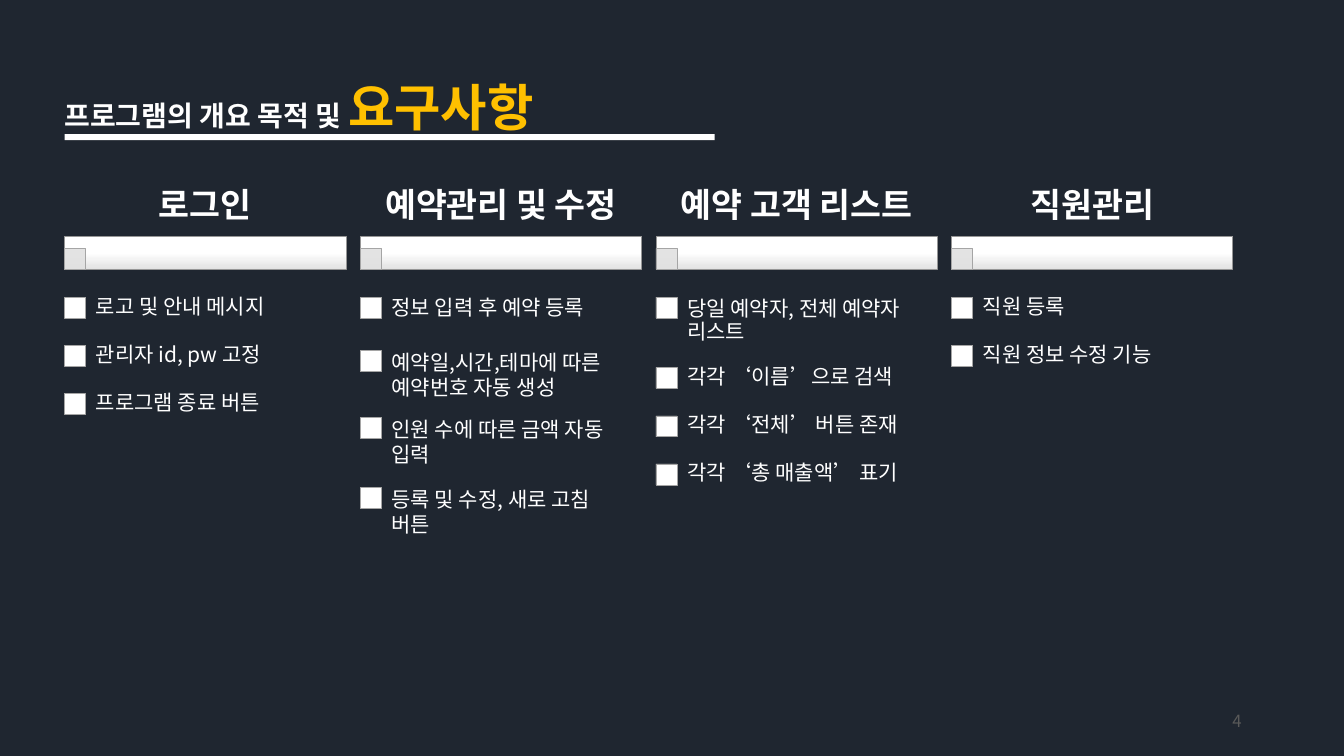
from copy import deepcopy
from lxml import etree
from pptx import Presentation
from pptx.util import Cm, Pt
from pptx.dml.color import RGBColor
from pptx.enum import shapes, text
from pptx.oxml.ns import qn

FACE = "Noto Sans CJK KR"
INK = {"back": "1F2630", "white": "FFFFFF", "gold": "FFC000", "page": "595959",
       "shade": "E3E3E3", "rim": "969696", "chip": "E1E1E1", "edge": "A5A5A5"}
RGB = {name: RGBColor.from_string(value) for name, value in INK.items()}
LEFT, WIDE, STEP, MARK = 1.63, 7.09, 7.45, 0.53

deck = Presentation()
deck.slide_width, deck.slide_height = Cm(33.87), Cm(19.05)
slide = deck.slides.add_slide(deck.slide_layouts[5])
slide.background.fill.solid()
slide.background.fill.fore_color.rgb = RGB["back"]


def block(x, y, w, h, fill, line=None):
    box = slide.shapes.add_shape(shapes.MSO_SHAPE.RECTANGLE, Cm(x), Cm(y), Cm(w), Cm(h))
    box.shadow.inherit = False
    box.fill.solid()
    box.fill.fore_color.rgb = RGB[fill]
    if line:
        box.line.color.rgb = RGB[line]
        box.line.width = Pt(0.5)
    else:
        box.line.fill.background()
    return box


def write(box, place, runs, frame, para, after=False):
    for name, value in zip(("left", "top", "width", "height"), place):
        setattr(box, name, Cm(value))
    for name, value in frame.items():
        setattr(box.text_frame, name, value)
    line = box.text_frame.paragraphs[0]
    for name, value in para.items():
        setattr(line, name, value)
    if after:
        gap = etree.SubElement(line._p.get_or_add_pPr(), qn("a:spcAft"))
        etree.SubElement(gap, qn("a:spcPct")).set("val", "35000")
    for words, size, ink, bold in runs:
        run = line.add_run()
        run.text = words
        for name, value in {"name": FACE, "size": Pt(size), "bold": bold}.items():
            setattr(run.font, name, value)
        run.font.color.rgb = RGB[ink]
        etree.SubElement(run._r.get_or_add_rPr(), qn("a:ea")).set("typeface", FACE)


MID = text.MSO_ANCHOR.MIDDLE
SIDES = ("margin_left", "margin_top", "margin_right", "margin_bottom")
HEAD = {"word_wrap": True, "vertical_anchor": MID,
        **dict(zip(SIDES, (Cm(0.13), Cm(0.08), Cm(0.13), Cm(0.08))))}
ITEM = {"word_wrap": True, "vertical_anchor": MID, **dict.fromkeys(SIDES, Cm(0.3))}

block(LEFT, 3.38, 16.38, 0.15, "white")
write(slide.shapes.title, (1.37, 1.78, 13.92, 1.8),
      [("프로그램의 개요 목적 및 ", 20, "white", True), ("요구사항", 36, "gold", True)],
      {"word_wrap": False, "vertical_anchor": text.MSO_ANCHOR.TOP,
       "auto_size": text.MSO_AUTO_SIZE.SHAPE_TO_FIT_TEXT},
      {"alignment": text.PP_ALIGN.LEFT})

columns = [
    ("로그인", 0.9, [
        (7.49, -0.35, "로고 및 안내 메시지"),
        (8.7, -0.35, "관리자 id, pw 고정"),
        (9.92, -0.35, "프로그램 종료 버튼")]),
    ("예약관리 및 수정", 1.0, [
        (7.49, -0.35, "정보 입력 후 예약 등록"),
        (8.84, 0, "예약일,시간,테마에 따른 예약번호 자동 생성"),
        (10.51, 0, "인원 수에 따른 금액 자동 입력"),
        (12.29, 0, "등록 및 수정, 새로 고침 버튼")]),
    ("예약 고객 리스트", 0.9, [
        (7.49, 0, "당일 예약자, 전체 예약자 리스트"),
        (9.26, -0.35, "각각 ‘이름’으로 검색"),
        (10.48, -0.35, "각각 ‘전체’ 버튼 존재"),
        (11.69, -0.35, "각각 ‘총 매출액’ 표기")]),
    ("직원관리", 0.9, [
        (7.49, -0.35, "직원 등록"),
        (8.7, -0.35, "직원 정보 수정 기능")]),
]

for i, (head, pitch, items) in enumerate(columns):
    x = LEFT + i * STEP
    bar = block(x, 5.95, WIDE, 0.83, "white", "rim")
    bar.fill.gradient()
    bar.fill.gradient_angle = 270
    for stop, ink in zip(bar.fill.gradient_stops, ("white", "shade")):
        stop.color.rgb = RGB[ink]
    first = bar._element.find(".//" + qn("a:gs"))
    half = deepcopy(first)
    half.set("pos", "50000")
    first.addnext(half)

    chip = block(x, 6.26, MARK, MARK, "chip", "edge")
    tint = chip._element.spPr.find(qn("a:solidFill"))[0]
    etree.SubElement(tint, qn("a:alpha")).set("val", "90000")

    write(slide.shapes.add_textbox(0, 0, 0, 0), (x, 4.45, WIDE, 1.5),
          [(head, 24, "white", True)], HEAD,
          {"alignment": text.PP_ALIGN.CENTER, "line_spacing": 0.9}, True)
    for y, shift, words in items:
        block(x, y, MARK, MARK, "white", "edge")
        write(slide.shapes.add_textbox(0, 0, 0, 0), (x + 0.49, y + shift, 6.6, 1.22),
              [(words, 15, "white", False)], ITEM, {"line_spacing": pitch}, True)

write(slide.shapes.add_textbox(0, 0, 0, 0), (23.92, 17.66, 7.62, 1.01),
      [("4", 12, "page", False)], {"word_wrap": True, "vertical_anchor": MID},
      {"alignment": text.PP_ALIGN.RIGHT})

deck.save("out.pptx")
